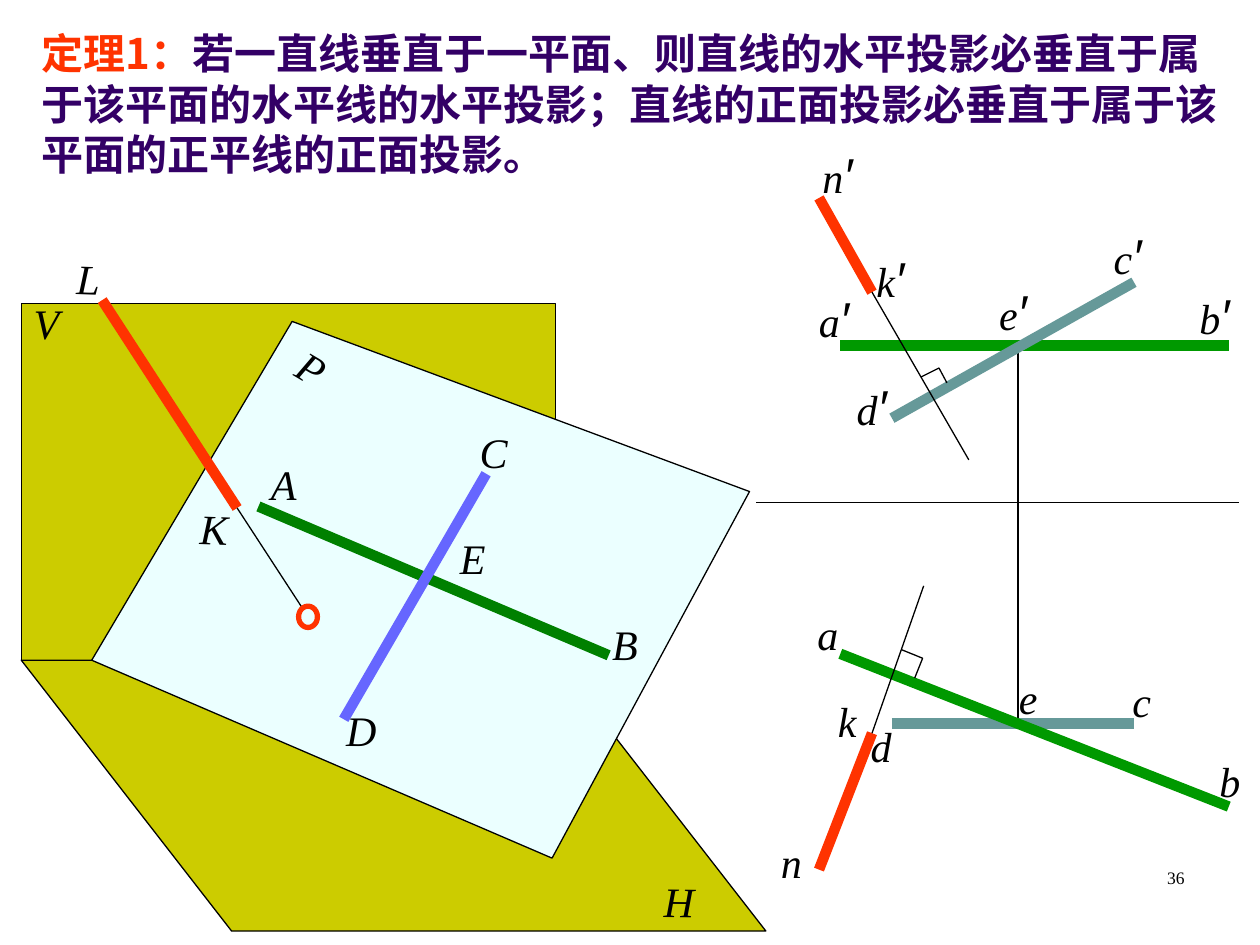
from lxml import etree
from pptx import Presentation
from pptx.dml.color import RGBColor
from pptx.enum.shapes import MSO_CONNECTOR, MSO_SHAPE
from pptx.enum.text import MSO_ANCHOR, MSO_AUTO_SIZE, PP_ALIGN
from pptx.oxml.ns import qn
from pptx.util import Cm, Pt

STRAIGHT = MSO_CONNECTOR.STRAIGHT
RECTANGLE, OVAL = MSO_SHAPE.RECTANGLE, MSO_SHAPE.OVAL
TOP, NO_FIT = MSO_ANCHOR.TOP, MSO_AUTO_SIZE.NONE
LEFT, RIGHT = PP_ALIGN.LEFT, PP_ALIGN.RIGHT

BLACK = RGBColor(0x00, 0x00, 0x00)
OLIVE = RGBColor(0xCC, 0xCC, 0x00)
PALE = RGBColor(0xEB, 0xFF, 0xFF)
DARK_GREEN = RGBColor(0x00, 0x80, 0x00)
GREEN = RGBColor(0x00, 0x99, 0x00)
BLUE = RGBColor(0x66, 0x66, 0xFF)
TEAL = RGBColor(0x66, 0x99, 0x99)
RED = RGBColor(0xFF, 0x33, 0x00)
PURPLE = RGBColor(0x33, 0x00, 0x66)

HEADING_FONT = "Noto Sans CJK SC"
LABEL_FONT = "Times New Roman"
THIN, THICK = 0.75, 6

deck = Presentation()
deck.slide_width, deck.slide_height = Cm(25.4), Cm(19.05)
page = deck.slides.add_slide(deck.slide_layouts[5])
shapes = page.shapes


def style(shape, fill, line=BLACK, width=THIN):
    shape.shadow.inherit = False
    if fill is None:
        shape.fill.background()
    else:
        shape.fill.solid()
        shape.fill.fore_color.rgb = fill
    shape.line.color.rgb = line
    shape.line.width = Pt(width)


def add_outline(points, fill=None):
    corners = [(Cm(x), Cm(y)) for x, y in points]
    builder = shapes.build_freeform(*corners[0])
    builder.add_line_segments(corners[1:], close=fill is not None)
    style(builder.convert_to_shape(), fill)


title = shapes.title
title.left, title.top, title.width, title.height = Cm(0.58), Cm(0.43), Cm(24.33), Cm(3.91)
frame = title.text_frame
frame.word_wrap = True
frame.auto_size = NO_FIT
frame.vertical_anchor = TOP
para = frame.paragraphs[0]
para.alignment = LEFT
para.line_spacing = 1.0
para.font.size = Pt(24)
para.font.bold = True
for text, color in (
    ("定理1：", RED),
    ("若一直线垂直于一平面、则直线的水平投影必垂直于属于该平面的水平线的水平投影；"
     "直线的正面投影必垂直于属于该平面的正平线的正面投影。", PURPLE),
):
    span = para.add_run()
    span.text = text
    span.font.name = HEADING_FONT
    span.font.color.rgb = color
    etree.SubElement(span.font._element, qn("a:ea"), typeface=HEADING_FONT)

plane_v = shapes.add_shape(RECTANGLE, Cm(0.43), Cm(6.12), Cm(10.77), Cm(7.19))
style(plane_v, OLIVE)
add_outline([(0.43, 13.31), (4.67, 18.77), (15.44, 18.77), (11.2, 13.31)], OLIVE)
add_outline([(5.89, 6.48), (1.85, 13.31), (11.13, 17.3), (15.11, 9.91)], PALE)

for x1, y1, x2, y2, color, width in (
    (5.21, 10.21, 12.27, 13.21, DARK_GREEN, THICK),
    (6.93, 14.5, 9.8, 9.55, BLUE, THICK),
    (2.06, 6.05, 4.78, 10.24, RED, THICK),
    (4.78, 10.24, 6.22, 12.45, BLACK, THIN),
    (15.24, 10.13, 24.97, 10.13, BLACK, THIN),
    (20.52, 6.96, 20.52, 14.58, BLACK, THIN),
    (16.94, 6.96, 24.77, 6.96, GREEN, THICK),
    (17.98, 14.58, 22.86, 14.58, TEAL, THICK),
    (22.86, 5.69, 17.98, 8.43, TEAL, THICK),
    (16.94, 13.18, 24.77, 16.26, GREEN, THICK),
    (16.51, 17.53, 17.58, 14.78, RED, THICK),
    (17.58, 14.78, 18.62, 11.81, BLACK, THIN),
    (16.51, 3.99, 17.58, 5.89, RED, THICK),
    (17.58, 5.89, 19.53, 9.27, BLACK, THIN),
):
    line = shapes.add_connector(STRAIGHT, Cm(x1), Cm(y1), Cm(x2), Cm(y2))
    line.line.color.rgb = color
    line.line.width = Pt(width)
    etree.SubElement(line._element.spPr, qn("a:effectLst"))

foot = shapes.add_shape(OVAL, Cm(6.02), Cm(12.22), Cm(0.38), Cm(0.43))
style(foot, PALE, RED, 3)

add_outline([(18.57, 7.6), (18.93, 7.42), (19.09, 7.72)])
add_outline([(18.18, 13.1), (18.6, 13.27), (18.44, 13.67)])

for text, left, top, width, angle in (
    ("V", 0.43, 5.87, 1.96, 0),
    ("P", 5.79, 6.76, 0.91, 30.7),
    ("A", 5.21, 9.12, 0.97, 0),
    ("K", 3.78, 10.01, 0.97, 2.1),
    ("L", 1.3, 4.98, 0.97, 2.1),
    ("D", 6.73, 14.07, 0.97, 0),
    ("C", 9.42, 8.48, 0.97, 0),
    ("B", 12.09, 12.34, 0.97, 0),
    ("E", 9.02, 10.62, 0.97, 0),
    ("H", 13.13, 17.53, 2.16, 0.6),
    ("a′", 16.26, 5.69, 1.75, 0),
    ("a", 16.23, 12.14, 1.47, 0),
    ("d′", 17.02, 7.47, 1.47, 0),
    ("c′", 22.2, 4.42, 1.47, 0),
    ("b′", 23.93, 5.64, 1.47, 0),
    ("d", 17.3, 14.4, 1.47, 0),
    ("c", 22.58, 13.49, 1.47, 0),
    ("b", 24.33, 15.11, 1.07, 0),
    ("e′", 19.89, 5.56, 1.47, 0),
    ("e", 20.29, 13.44, 1.47, 0),
    ("k", 16.64, 13.89, 1.47, 0),
    ("n", 15.49, 16.74, 1.47, 0),
    ("k′", 17.42, 4.88, 1.47, 0),
    ("n′", 16.33, 2.79, 1.47, 0),
):
    height = 1.45 if "′" in text else 1.27
    box = shapes.add_textbox(Cm(left), Cm(top), Cm(width), Cm(height))
    box.rotation = angle
    box.text_frame.word_wrap = True
    para = box.text_frame.paragraphs[0]
    para.font.italic = True
    para.font.color.rgb = BLACK
    for letter in text:
        span = para.add_run()
        span.text = letter
        span.font.name = "Arial" if letter == "′" else LABEL_FONT
        span.font.size = Pt(28 if letter == "′" else 24)

number = shapes.add_textbox(Cm(18.21), Cm(17.35), Cm(5.92), Cm(1.27))
number.text_frame.word_wrap = True
para = number.text_frame.paragraphs[0]
para.text = "36"
para.alignment = RIGHT
para.font.name = LABEL_FONT
para.font.size = Pt(10)
para.font.color.rgb = BLACK

deck.save("out.pptx")
